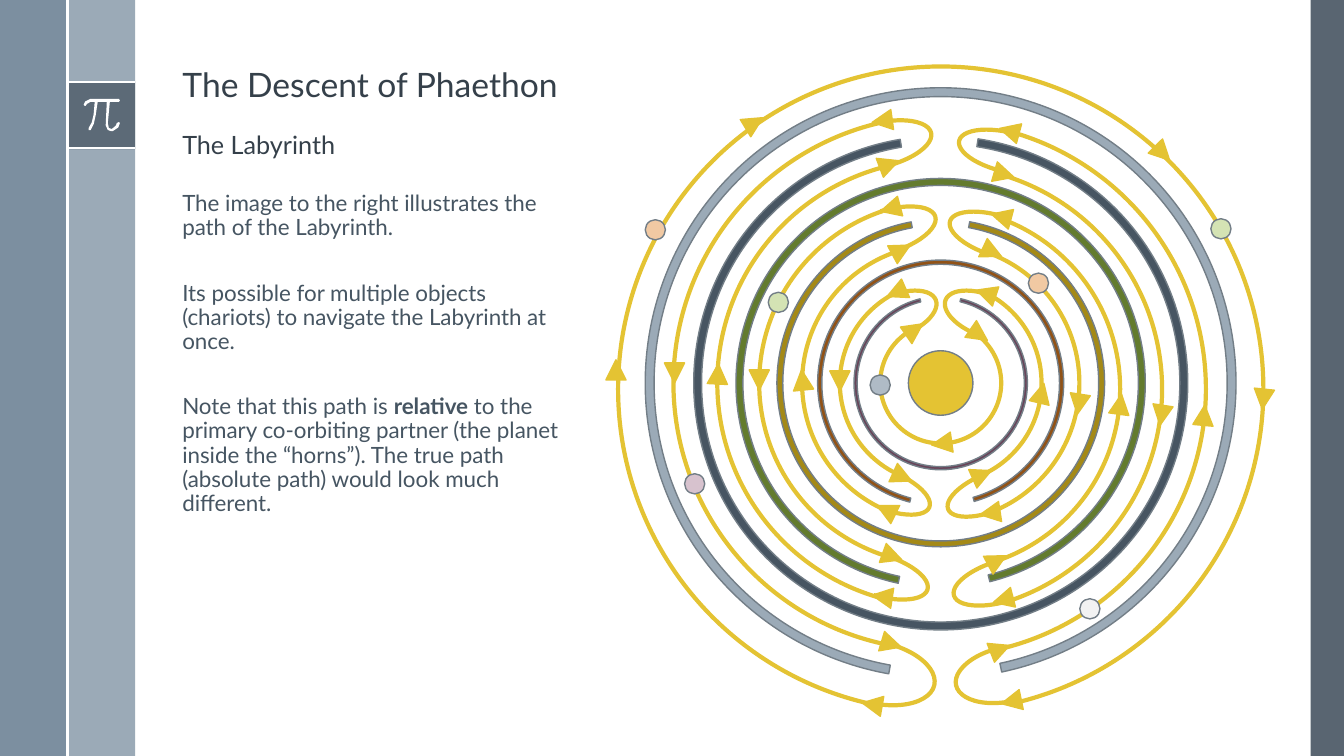
from lxml import etree
from pptx import Presentation, util as u
from pptx.dml.color import RGBColor
from pptx.enum import shapes as kinds, text as txt
from pptx.oxml.ns import qn

PX = 9144
FONT = "Lato"
GOLD, EDGE = "E4C333", "737E87"
INK, BODY = "35404A", "465562"
KIND = kinds.MSO_SHAPE


def rgb(code):
    return RGBColor.from_string(code)


def put(frame, paras, size, color, anchor=txt.MSO_ANCHOR.TOP, gap=6):
    frame.word_wrap = True
    frame.auto_size = txt.MSO_AUTO_SIZE.NONE
    frame.vertical_anchor = anchor
    for i, runs in enumerate(paras):
        para = frame.paragraphs[0] if i == 0 else frame.add_paragraph()
        para.alignment = txt.PP_ALIGN.LEFT
        para.line_spacing = 0.9
        para.space_before = u.Pt(0)
        para.space_after = u.Pt(gap)
        for words, bold in runs:
            run = para.add_run()
            run.text = words
            run.font.name = FONT
            run.font.size = u.Pt(size)
            run.font.bold = bold
            run.font.color.rgb = rgb(color)


class Deck:
    def __init__(self):
        self.prs = Presentation()
        self.prs.slide_width = u.Inches(13.33)
        self.prs.slide_height = u.Inches(7.5)
        self.slide = self.prs.slides.add_slide(self.prs.slide_layouts[5])
        self.pen = self.slide.shapes

    def group(self):
        self.pen = self.slide.shapes.add_group_shape().shapes

    def paint(self, item, fill=None, line=None, width=1, alpha=None):
        item.shadow.inherit = False
        if fill:
            item.fill.solid()
            item.fill.fore_color.rgb = rgb(fill)
        else:
            item.fill.background()
        if alpha:
            tone = item.fill._xPr.find(qn("a:solidFill"))[0]
            etree.SubElement(tone, qn("a:alpha")).set("val", str(alpha * 1000))
        if line:
            item.line.color.rgb = rgb(line)
            item.line.width = u.Pt(width)
        else:
            item.line.fill.background()

    def shape(self, kind, x, y, w, h, rot=0, adj=(), flip=False, **look):
        item = self.pen.add_shape(kind, *(int(v * PX) for v in (x, y, w, h)))
        item.rotation = rot
        for i, val in enumerate(adj):
            item.adjustments[i] = val
        if flip:
            item._element.spPr.find(qn("a:xfrm")).set("flipH", "1")
        self.paint(item, **look)

    def round(self, kind, cx, cy, size, **look):
        self.shape(kind, cx - size / 2, cy - size / 2, size, size, **look)

    def rule(self, x1, y1, x2, y2):
        ends = [v * PX for v in (x1, y1, x2, y2)]
        item = self.pen.add_connector(kinds.MSO_CONNECTOR.STRAIGHT, *ends)
        item.line.color.rgb = rgb("FFFFFF")
        item.line.width = u.Pt(1.5)
        etree.SubElement(item._element.spPr, qn("a:effectLst"))

    def glyph(self, points):
        form = self.pen.build_freeform(*points[0], scale=PX / 10)
        form.add_line_segments(points[1:], close=True)
        self.paint(form.convert_to_shape(), fill="FFFFFF")

    def title(self, x, y, w, h, words):
        item = self.slide.shapes.title
        item.left, item.top, item.width, item.height = (v * PX for v in (x, y, w, h))
        put(item.text_frame, [[(words, False)]], 24, INK, txt.MSO_ANCHOR.BOTTOM)

    def text(self, x, y, w, h, paras, **style):
        box = self.pen.add_textbox(*(v * PX for v in (x, y, w, h)))
        put(box.text_frame, paras, **style)


PI = [
    (1180, 980), (900, 980), (846, 1006), (830, 1040), (840, 1050), (850, 1050),
    (864, 1030), (900, 1010), (940, 1010), (929, 1136), (911, 1214), (880, 1270),
    (880, 1290), (900, 1290), (931, 1227), (950, 1142), (970, 1010), (1060, 1010),
    (1050, 1220), (1049, 1244), (1070, 1290), (1100, 1300), (1120, 1300),
    (1174, 1264), (1190, 1220), (1180, 1210), (1160, 1220), (1150, 1246),
    (1110, 1280), (1080, 1270), (1070, 1220), (1090, 1010), (1180, 1010), (1190, 1000),
]
WALLS = [
    (586, 270, "9BAAB7", (114.07, 100.84, 0.015)),
    (490, 90, "475562", (113.22, 102.33, 0.016)),
    (406, 270, "637B2E", (115.18, 99.65, 0.017)),
    (325, 90, "A48916", (114.1, 101.76, 0.018)),
    (244, 270, "915216", (116.72, 98.5, 0.017)),
    (172, 90, "674459", (116.01, 99.71, 0.018)),
]
LANES = [
    (931, 386, 530, False, 117.51, 208.7), (931, 386, 443, False, 117.8, 206.08),
    (931, 386, 360, False, 119.17, 205.85), (933, 380, 275, False, 120.94, 202.04),
    (933, 380, 200, False, 125.11, 201.71), (933, 380, 120, False, 127.25, 92.35),
    (933, 380, 530, True, 116.12, 209.05), (933, 380, 443, True, 115.74, 206.08),
    (933, 380, 360, True, 119.17, 205.85), (933, 380, 275, True, 118.64, 202.04),
    (933, 380, 200, True, 125.11, 201.71), (933, 386, 640, False, 7, 207.9),
]
TURNS = [
    (944, 556, 101, 41, 163.5, False), (937, 469, 93, 38, 158.3, False),
    (935, 292, 82, 41, 201.4, False), (950, 131, 95, 39, 193.3, False),
    (940, 214, 99, 40, 197.2, False), (947, 642, 103, 54, 167.9, False),
    (849, 292, 82, 41, 158.6, True), (832, 467, 93, 38, 201.7, True),
    (821, 550, 101, 41, 196.5, True), (813, 637, 115, 61, 192.1, True),
    (827, 209, 103, 42, 162.8, True), (818, 122, 107, 44, 166.7, True),
]
HEADS = [
    (982, 634, 68.7), (1184, 402, 5.1), (991, 120, 284.9), (986, 163, 106.3),
    (1142, 402, 188.6), (985, 585, 255.4), (979, 546, 62), (972, 499, 261.1),
    (964, 461, 66), (1101, 391, 7.7), (1060, 391, 188.6), (1023, 380, 13.4),
    (993, 686, 258.2), (855, 689, 279.9), (874, 629, 106.8), (865, 582, 278.6),
    (875, 542, 109.9), (659, 360, 180), (702, 361, 2.8), (743, 367, 180),
    (786, 367, 354.2), (823, 368, 180), (885, 463, 114.6), (869, 496, 296.3),
    (974, 240, 115.2), (983, 205, 284.9), (865, 110, 262), (872, 153, 69.4),
    (873, 197, 255.1), (884, 238, 61.6), (961, 322, 124.6), (968, 281, 288.4),
    (897, 317, 55.2), (879, 280, 246.2), (924, 430, 261.9), (601, 357, 0),
    (738, 112, 58.7), (1143, 142, 135.1), (1243, 386, 186),
]
CARTS = [
    (863, 372, "AFBBC6"), (1071, 594, "F2F2F2"), (679, 470, "D7C2CE"),
    (1020, 271, "F1C9A3"), (762, 290, "D4E3B4"), (1201, 217, "D4E3B4"),
    (640, 218, "F1C9A3"),
]
NOTES = [
    [("The image to the right illustrates the path of the Labyrinth.", False)],
    [("Its possible for multiple objects (chariots) to navigate the Labyrinth at once.", False)],
    [("Note that this path is ", False), ("relative", True),
     (" to the primary co-orbiting partner (the planet inside the “horns”). "
      "The true path (absolute path) would look much different.", False)],
]


def main():
    deck = Deck()
    deck.shape(KIND.RECTANGLE, 1300, 0, 33, 750, fill="475562", alpha=90)
    deck.shape(KIND.RECTANGLE, 67, 0, 67, 750, fill="9BAAB7")
    deck.shape(KIND.RECTANGLE, 0, 0, 67, 750, fill="6A8093", alpha=88)
    deck.shape(KIND.RECTANGLE, 67, 81, 67, 67, fill="475562", alpha=75)
    for y in (81, 147):
        deck.rule(67, y, 134, y)
    deck.glyph(PI)
    deck.rule(67, 0, 67, 750)

    deck.title(171, 65, 1070, 44, "The Descent of Phaethon")
    deck.text(171, 108, 1070, 56, [[("The Labyrinth", False)]],
              size=18, color=INK, anchor=txt.MSO_ANCHOR.BOTTOM)
    deck.text(171, 186, 397, 539, NOTES, size=16, color=BODY, gap=29.3)

    deck.group()
    for size, rot, fill, adj in WALLS:
        deck.round(KIND.BLOCK_ARC, 933, 380, size, rot=rot, adj=adj, fill=fill, line=EDGE)
    deck.round(KIND.OVAL, 933, 380, 64, fill=GOLD, line=EDGE)
    for cx, cy, size, flip, *adj in LANES:
        deck.round(KIND.ARC, cx, cy, size, rot=270 if flip else 90,
                   adj=adj, flip=flip, line=GOLD, width=3)
    for x, y, w, h, rot, flip in TURNS:
        deck.shape(KIND.ARC, x, y, w, h, rot=rot, adj=(163.52, 52.26),
                   flip=flip, line=GOLD, width=3)
    for x, y, rot in HEADS:
        deck.shape(KIND.ISOSCELES_TRIANGLE, x, y, 20, 20, rot=rot, fill=GOLD, line=GOLD)
    for x, y, fill in CARTS:
        deck.shape(KIND.OVAL, x, y, 20, 20, fill=fill, line=EDGE)
    deck.prs.save("out.pptx")


if __name__ == "__main__":
    main()
